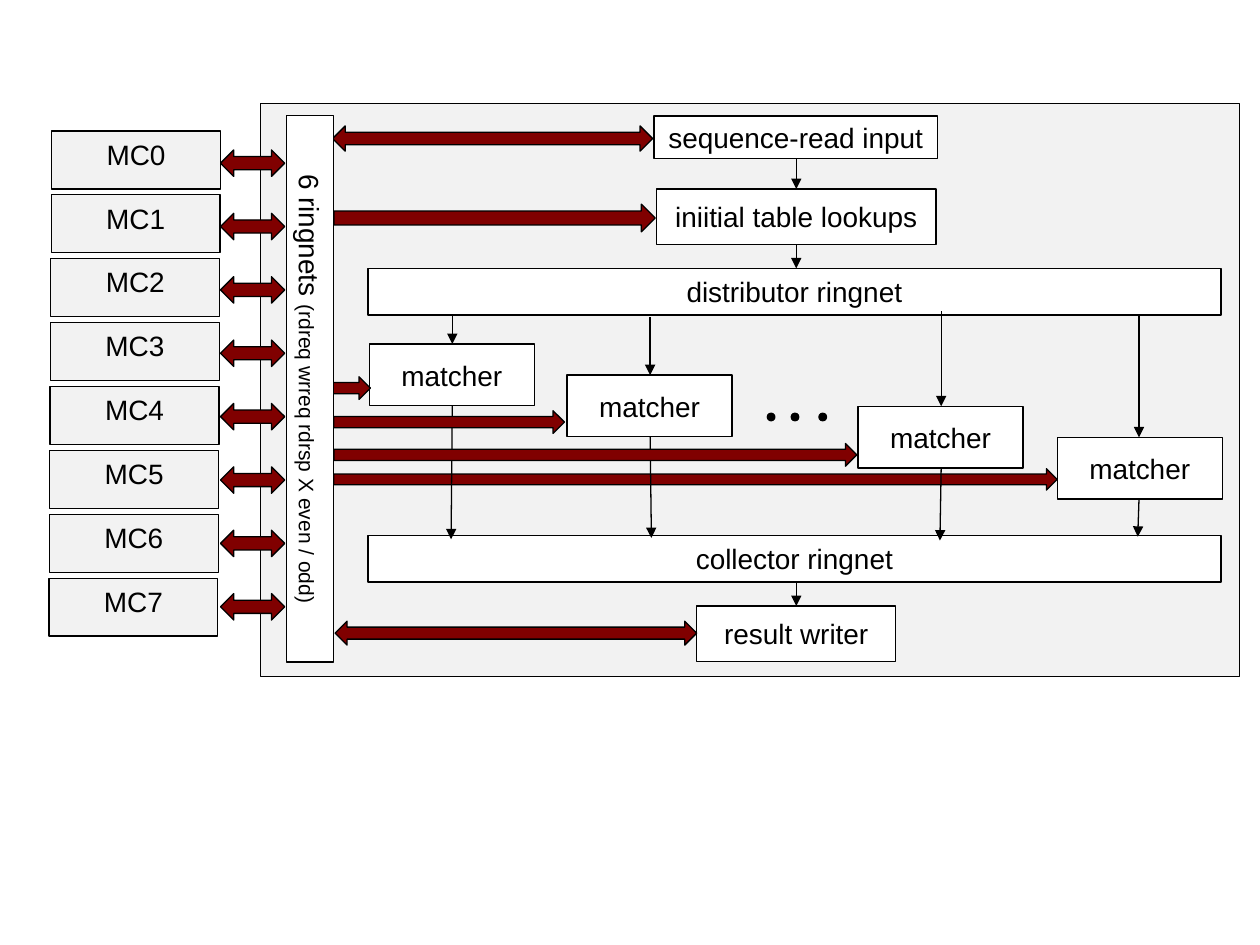
import pptx
import pptx.util
import pptx.dml.color
import pptx.enum.shapes
import pptx.enum.text
import pptx.oxml
import pptx.oxml.ns

Inches = pptx.util.Inches
Kind = pptx.enum.shapes.MSO_SHAPE
Anchor = pptx.enum.text.MSO_ANCHOR
BLACK, WHITE, GREY, RED = "000000", "FFFFFF", "F2F2F2", "800000"
BOTH, RIGHT = Kind.LEFT_RIGHT_ARROW, Kind.RIGHT_ARROW


def color(code):
    return pptx.dml.color.RGBColor.from_string(code)


def add_shape(shapes, kind, at, fill):
    shape = shapes.add_shape(kind, *map(Inches, at))
    shape.shadow.inherit = False
    shape.fill.solid()
    shape.fill.fore_color.rgb = color(fill)
    shape.line.color.rgb = color(BLACK)
    shape.line.width = pptx.util.Pt(0.75)
    return shape


def add_box(shapes, at, runs, fill=WHITE, top=False):
    box = add_shape(shapes, Kind.RECTANGLE, at, fill)
    frame = box.text_frame
    frame.word_wrap = True
    frame.vertical_anchor = Anchor.TOP if top else Anchor.MIDDLE
    frame.margin_left = frame.margin_right = Inches(0.1)
    frame.margin_top = frame.margin_bottom = Inches(0.05 if top else 0)
    para = frame.paragraphs[0]
    para.alignment = pptx.enum.text.PP_ALIGN.CENTER
    for text, size in runs:
        run = para.add_run()
        run.text = text
        run.font.size = pptx.util.Pt(size)
        run.font.name = "Arial"
        run.font.color.rgb = color(BLACK)
    return box


def add_flow(shapes, x1, y1, x2, y2):
    flow = shapes.add_connector(
        pptx.enum.shapes.MSO_CONNECTOR.STRAIGHT, *map(Inches, (x1, y1, x2, y2)))
    flow.line.color.rgb = color(BLACK)
    flow.line.width = pptx.util.Pt(0.75)
    tag = pptx.oxml.ns.qn
    line = flow.line._get_or_add_ln()
    line.append(line.makeelement(tag("a:tailEnd"), {"type": "triangle"}))
    props = flow._element.spPr
    props.append(props.makeelement(tag("a:effectLst"), {}))


def main():
    deck = pptx.Presentation()
    deck.slide_width, deck.slide_height = Inches(10), Inches(7.5)
    shapes = deck.slides.add_slide(deck.slide_layouts[6]).shapes

    # Chip area and its stages
    add_shape(shapes, Kind.RECTANGLE, (2.07, 0.82, 7.77, 4.55), GREY)
    for text, *at in (
        ("sequence-read input", 5.19, 0.92, 2.25, 0.34),
        ("iniitial table lookups", 5.21, 1.5, 2.22, 0.44),
        ("result writer", 5.53, 4.81, 1.58, 0.44),
    ):
        add_box(shapes, at, [(text, 16)])

    # Matchers step down to the right
    lefts = (2.93, 4.5, 6.81, 8.39)
    tops = [2.73 + 0.247 * i for i in range(4)]
    for left, top in zip(lefts, tops):
        add_box(shapes, (left, top, 1.31, 0.49), [("matcher", 16)])
    dots = shapes.add_group_shape().shapes
    for left in (6.09, 6.28, 6.5):
        add_shape(dots, Kind.OVAL, (left, 3.28, 0.06, 0.06), BLACK)

    # Flow between stages
    for start, end in ((1.26, 1.5), (1.94, 2.13), (4.58, 4.81)):
        add_flow(shapes, 6.32, start, 6.32, end)

    # Red arrows from the ringnets to the stages
    for kind, *at in (
        (BOTH, 2.64, 1, 2.54, 0.2),
        (BOTH, 2.66, 4.93, 2.87, 0.19),
        (RIGHT, 2.64, 2.99, 0.3, 0.18),
        (RIGHT, 2.65, 1.62, 2.55, 0.22),
        (RIGHT, 2.65, 3.72, 5.74, 0.17),
    ):
        add_shape(shapes, kind, at, RED)

    # Ringnet bars
    for text, top in (("distributor ringnet", 2.13), ("collector ringnet", 4.25)):
        add_box(shapes, (2.92, top, 6.77, 0.37), [(text, 16)])
    ring = add_box(shapes, (0.29, 2.9, 4.34, 0.37), [
        ("6 ringnets ", 16), ("(rdreq wrreq rdrsp X even / odd)", 12)])
    ring.rotation = 90

    # Memory controllers and their links
    for i in range(8):
        left = 0.41 - 0.003 * i
        add_box(shapes, (left, 1.04 + 0.507 * i, 1.34, 0.46),
                [(f"MC{i}", 16)], GREY, top=True)
        add_shape(shapes, BOTH, (1.75, 1.19 + 0.503 * i, 0.51, 0.21), RED)

    # Flow into and out of the matchers
    for x, top, start, end, drift in zip(
            (3.59, 5.16, 7.47, 9.04), tops, (2.5, 2.52, 2.47, 2.51),
            (4.28, 4.27, 4.29, 4.26), (-0.01, 0.01, -0.01, -0.01)):
        add_flow(shapes, x, start, x, top)
        add_flow(shapes, x, top + 0.49, x + drift, end)

    # Red arrows that cross over the flow
    for top, width in ((3.52, 4.15), (3.26, 1.83)):
        add_shape(shapes, RIGHT, (2.65, top, width, 0.18), RED)

    deck.save("out.pptx")


main()
